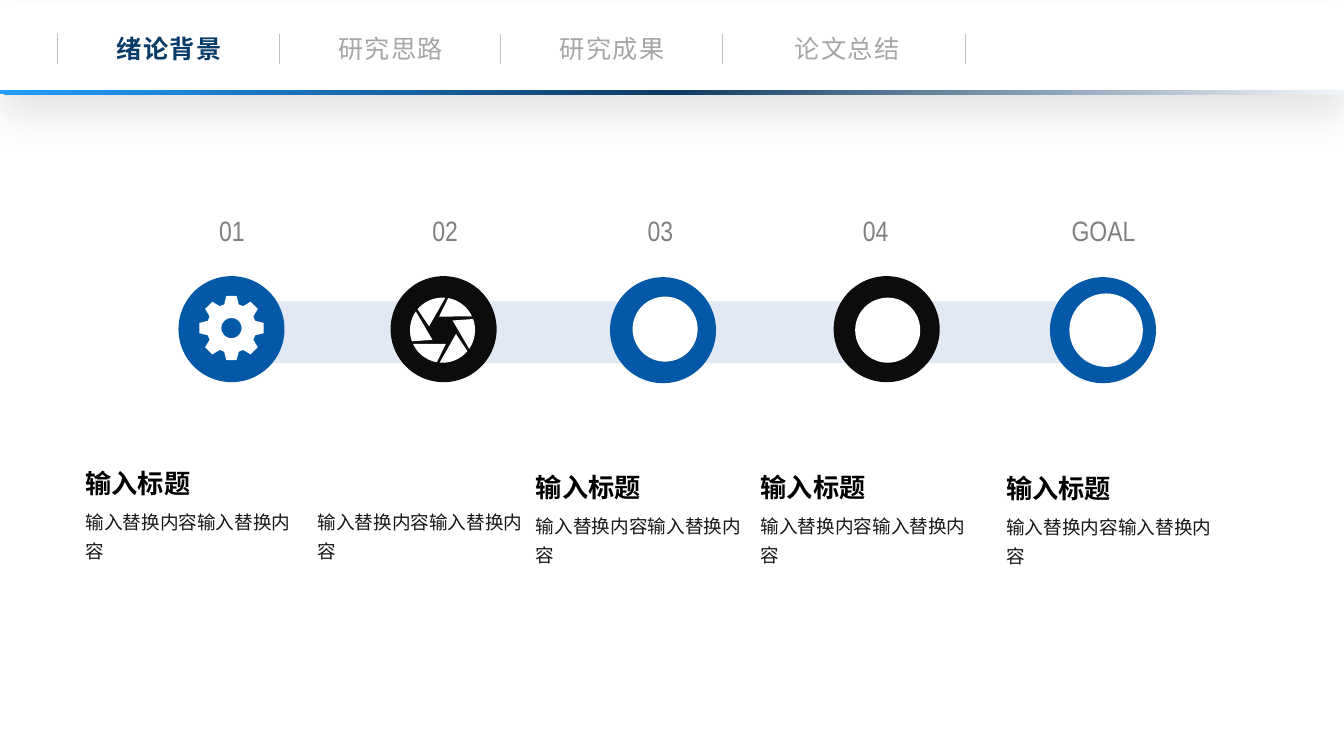
from dataclasses import dataclass
from math import cos, radians, sin

from lxml.etree import SubElement
from pptx import Presentation
from pptx.dml.color import RGBColor
from pptx.enum.shapes import MSO_CONNECTOR as Line, MSO_SHAPE as Shape
from pptx.enum.text import MSO_ANCHOR as Anchor, MSO_AUTO_SIZE as Fit, PP_ALIGN as Align
from pptx.oxml import parse_xml
from pptx.oxml.ns import nsdecls, qn
from pptx.util import Pt

PX = 9525  # EMU per px, 96 px to the inch


@dataclass(frozen=True)
class Theme:
    blue: str = "0359A7"
    black: str = "0C0C0C"
    white: str = "FFFFFF"
    band: str = "A0B7E1"
    number: str = "808080"
    heading: str = "000000"
    body: str = "181717"
    active: str = "0A3C69"
    idle: str = "A6A6A6"
    divider: str = "BFBFBF"
    glow: tuple = ((0, "F3F6FB"), (50, "0D3B61"), (100, "239DFF"))
    cjk: str = "Noto Sans CJK SC"
    narrow: str = "Arial Narrow"
    number_size: float = 20
    heading_size: float = 18.7
    tab_size: float = 18
    body_size: float = 13.3


THEME = Theme()


def px(*lengths):
    return [round(length * PX) for length in lengths]


def paint(shape, color, alpha=None):
    shape.shadow.inherit = False
    shape.fill.solid()
    shape.fill.fore_color.rgb = RGBColor.from_string(color)
    shape.line.fill.background()
    if alpha is not None:
        tint = shape.element.spPr.find(".//" + qn("a:srgbClr"))
        SubElement(tint, qn("a:alpha"), val=str(alpha * 1000))
    return shape


def add_block(shapes, kind, box, color, alpha=None):
    return paint(shapes.add_shape(kind, *px(*box)), color, alpha)


def write(shape, text, *, size, color, font=THEME.cjk, bold=False, align=Align.LEFT,
          spacing=None, tracking=None, wrap=True, anchor=Anchor.TOP, fit=Fit.SHAPE_TO_FIT_TEXT):
    frame = shape.text_frame
    frame.word_wrap = wrap
    frame.auto_size = fit
    frame.vertical_anchor = anchor
    para = frame.paragraphs[0]
    para.alignment = align
    if spacing:
        para.line_spacing = spacing
    span = para.add_run()
    span.text = text
    span.font.size = Pt(size)
    span.font.bold = bold
    span.font.name = font
    span.font.color.rgb = RGBColor.from_string(color)
    props = span.font._element
    SubElement(props, qn("a:ea"), typeface=font)
    if tracking:
        props.set("spc", str(tracking))


def add_outline(shapes, contours, color):
    builder = None
    for first, *rest in contours:
        if builder is None:
            builder = shapes.build_freeform(*px(*first), scale=1.0)
        else:
            builder.move_to(*px(*first))
        builder.add_line_segments([px(*point) for point in rest], close=True)
    return paint(builder.convert_to_shape(), color)


def polar(center, radius, angle):
    """Point at a clockwise angle from the top."""
    return (center[0] + radius * sin(radians(angle)),
            center[1] - radius * cos(radians(angle)))


# Icons
def add_gear(shapes, center, radius):
    tooth = ((0.76, -17), (1, -9), (1, 9), (0.76, 17))
    rim = [polar(center, radius * reach, turn + lean)
           for turn in range(0, 360, 45) for reach, lean in tooth]
    hole = [polar(center, radius * 0.31, -turn) for turn in range(0, 360, 10)]
    add_outline(shapes, [rim, hole], THEME.white)


def add_aperture(shapes, center, radius):
    blades = [[polar(center, radius, turn + lean) for lean in range(5, -51, -5)]
              + [polar(center, radius * 0.43, turn - 74)] for turn in range(0, 360, 60)]
    add_outline(shapes, blades, THEME.white)


def add_disc(shapes, center, radius):
    box = (center[0] - radius, center[1] - radius, 2 * radius, 2 * radius)
    add_block(shapes, Shape.OVAL, box, THEME.white)


# Header with tabs
def add_header(page, box):
    left, top, width, height = box
    shapes = page.shapes.add_group_shape().shapes
    panel = add_block(shapes, Shape.RECTANGLE, box, THEME.white)
    panel.element.spPr.find(qn("a:effectLst")).append(parse_xml(
        f'<a:outerShdw {nsdecls("a")} blurRad="{Pt(28)}" dist="{Pt(15)}" dir="5400000" '
        'algn="t" rotWithShape="0"><a:srgbClr val="000000"><a:alpha val="11000"/>'
        '</a:srgbClr></a:outerShdw>'))

    for x in (55, 266, 477, 688, 919):
        divider = shapes.add_connector(
            Line.STRAIGHT, *px(left + x, top + 27, left + x, top + 56))
        divider.line.color.rgb = RGBColor.from_string(THEME.divider)
        divider.line.width = Pt(0.5)
        SubElement(divider.element.spPr, qn("a:effectLst"))

    tabs = (("绪论背景", 161), ("研究思路", 372), ("研究成果", 583), ("论文总结", 807))
    for index, (name, middle) in enumerate(tabs):
        tab = shapes.add_textbox(*px(left + middle - 61, top + 22, 122, 38))
        write(tab, name, size=THEME.tab_size, bold=index == 0, align=Align.CENTER,
              color=THEME.idle if index else THEME.active, tracking=100, wrap=False)

    # Glowing rule under the tabs
    rule = add_block(shapes, Shape.RECTANGLE, (left, top + height - 3, width, 4), THEME.blue)
    stops = "".join(f'<a:gs pos="{place * 1000}"><a:srgbClr val="{color}"/></a:gs>'
                    for place, color in THEME.glow)
    solid = rule.element.spPr.find(qn("a:solidFill"))
    solid.getparent().replace(solid, parse_xml(
        f'<a:gradFill {nsdecls("a")} rotWithShape="1"><a:gsLst>{stops}</a:gsLst>'
        '<a:path path="circle"><a:fillToRect l="100000" t="100000"/></a:path></a:gradFill>'))


# Timeline: number, circle and icon of each step on a pale band
def add_timeline(page, box):
    left, top, width, height = box
    shapes = page.shapes
    for index in range(4):
        add_block(shapes, Shape.RECTANGLE, (left + 52 + 208 * index, top + 89, 203, 59),
                  THEME.band, alpha=30)

    # number, its centre and width, circle left and top, icon, its shift and radius
    steps = (
        ("01", 51, 44, 0, 65, add_gear, (0, -1), 31),
        ("02", 254, 47, 202, 65, add_aperture, (-1, 1), 31),
        ("03", 459, 48, 411, 66, add_disc, (2, -1), 31),
        ("04", 664, 47, 624, 65, add_disc, (1, 1), 31),
        ("GOAL", 881, 73, 830, 66, add_disc, (3, 0), 35),
    )
    for index, (label, middle, span, x, y, add_icon, shift, radius) in enumerate(steps):
        number = add_block(shapes, Shape.RECTANGLE,
                           (left + middle - span / 2, top, span, 42), THEME.white)
        write(number, label, size=THEME.number_size, color=THEME.number, font=THEME.narrow,
              align=Align.CENTER, wrap=False, anchor=Anchor.MIDDLE, fit=Fit.NONE)
        add_block(shapes, Shape.OVAL, (left + x, top + y, 101, 101),
                  THEME.black if index % 2 else THEME.blue)
        center = (left + x + 50.5 + shift[0], top + y + 50.5 + shift[1])
        add_icon(shapes, center, radius)


# Caption under a step
def add_caption(page, box, heading, body):
    left, top, width, height = box
    if heading:
        title = page.shapes.add_textbox(*px(left, top, width, 40))
        write(title, heading, size=THEME.heading_size, color=THEME.heading,
              bold=True, align=Align.JUSTIFY)
    text = page.shapes.add_textbox(*px(left, top + 35, width, height - 35))
    write(text, body, size=THEME.body_size, color=THEME.body, spacing=1.3)


def main():
    deck = Presentation()
    deck.slide_width, deck.slide_height = px(1280, 720)
    page = deck.slides.add_slide(deck.slide_layouts[6])
    add_timeline(page, (170, 198, 931, 167))
    captions = ((72, 440, "输入标题"), (293, 440, None), (501, 444, "输入标题"),
                (715, 444, "输入标题"), (949, 445, "输入标题"))
    for x, y, heading in captions:
        add_caption(page, (x, y, 215, 98), heading, "输入替换内容输入替换内容")
    add_header(page, (0, 5, 1280, 84))
    deck.save("out.pptx")


if __name__ == "__main__":
    main()
